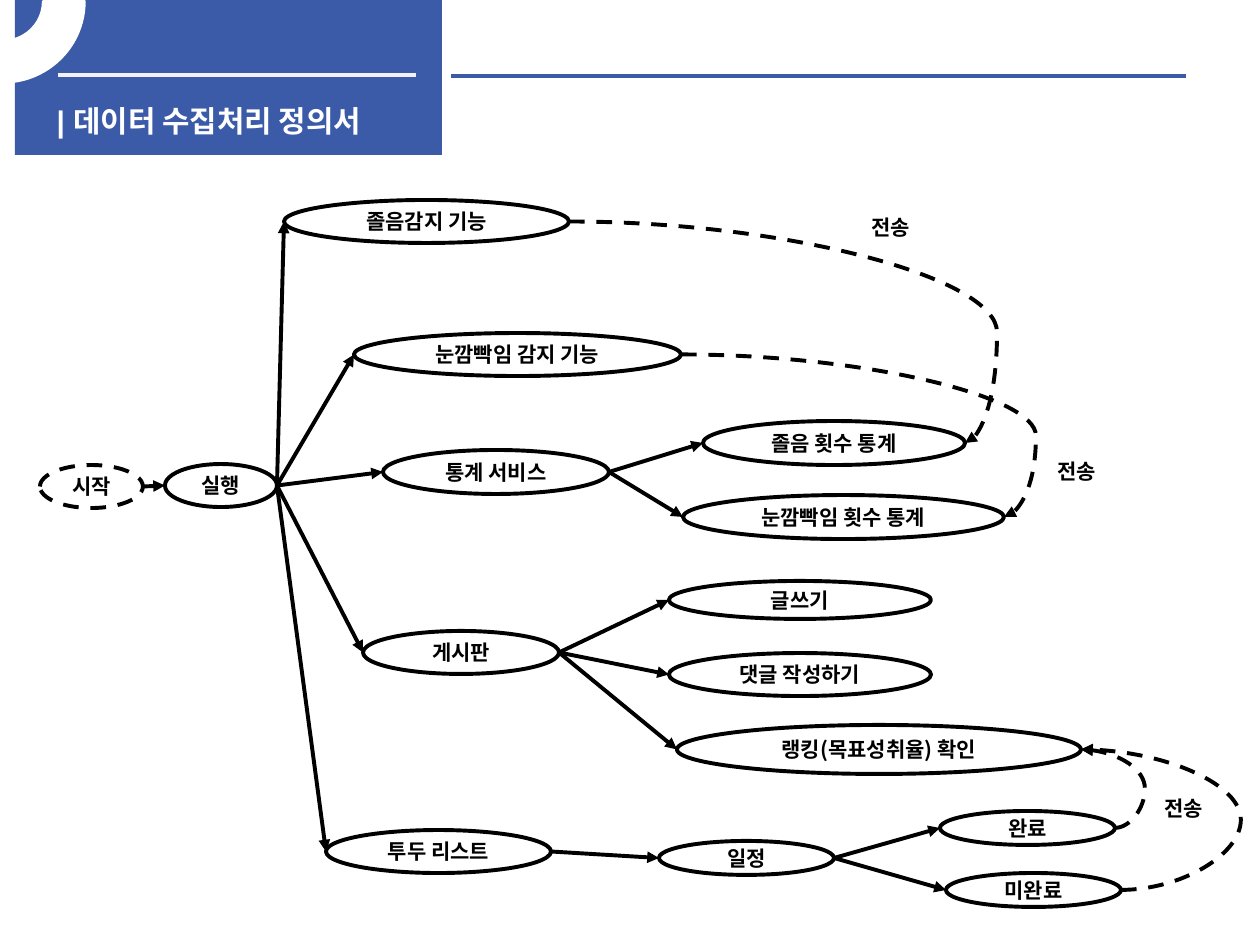
from dataclasses import dataclass

from lxml.etree import SubElement
from pptx import Presentation
from pptx.dml.color import RGBColor
from pptx.enum.dml import MSO_LINE
from pptx.enum.shapes import MSO_CONNECTOR, MSO_SHAPE
from pptx.enum.text import MSO_ANCHOR, MSO_AUTO_SIZE, PP_ALIGN
from pptx.oxml.ns import qn
from pptx.util import Inches, Pt

SCALE = Inches(1) / 126


@dataclass(frozen=True)
class Theme:
    blue: str = "3B5AA8"
    white: str = "FFFFFF"
    pale: str = "F2F2F2"
    ink: str = "000000"
    title_font: str = "Arial"
    body_font: str = "Noto Sans CJK KR"
    title_size: float = 17
    body_size: float = 12
    line_width: float = 2.25
    ring_line_width: float = 2


def px(*lengths):
    """Turn pixel lengths into a list of EMU."""
    return [round(length * SCALE) for length in lengths]


def write_text(frame, text, *, font, asian_font, size, color, align=PP_ALIGN.LEFT,
               anchor=MSO_ANCHOR.TOP, wrap=True):
    frame.word_wrap = wrap
    frame.auto_size = MSO_AUTO_SIZE.NONE
    frame.vertical_anchor = anchor
    paragraph = frame.paragraphs[0]
    paragraph.alignment = align
    run = paragraph.add_run()
    run.text = text
    run.font.name = font
    run.font.size = Pt(size)
    run.font.bold = True
    run.font.color.rgb = RGBColor.from_string(color)
    SubElement(run.font._element, qn("a:ea"), typeface=asian_font)


class FlowSlide:
    def __init__(self, presentation, theme):
        self.theme = theme
        self.slide = presentation.slides.add_slide(presentation.slide_layouts[5])
        self.shapes = self.slide.shapes

    def style_line(self, line, color, width=None, dashed=False):
        line.color.rgb = RGBColor.from_string(color)
        line.width = Pt(width or self.theme.line_width)
        if dashed:
            line.dash_style = MSO_LINE.DASH

    def write_label_text(self, frame, text, **layout):
        theme = self.theme
        write_text(frame, text, font=theme.body_font, asian_font=theme.body_font,
                   size=theme.body_size, color=theme.ink, **layout)

    def preset(self, kind, box, fill):
        shape = self.shapes.add_shape(kind, *px(*box))
        shape.shadow.inherit = False
        shape.fill.solid()
        shape.fill.fore_color.rgb = RGBColor.from_string(fill)
        return shape

    def banner(self, box):
        self.preset(MSO_SHAPE.RECTANGLE, box, self.theme.blue).line.fill.background()

    def ring(self, box):
        shape = self.preset(MSO_SHAPE.BLOCK_ARC, box, self.theme.white)
        # Angles count in 60000ths of a degree, adjustments in 100000ths.
        shape.adjustments[0] = 161.59 * 0.6
        shape.adjustments[1] = 0
        shape.adjustments[2] = 0.25
        shape._element.spPr.xfrm.set("flipV", "1")
        self.style_line(shape.line, self.theme.white, self.theme.ring_line_width)

    def title(self, text, box):
        title = self.shapes.title
        title.left, title.top, title.width, title.height = px(*box)
        theme = self.theme
        write_text(title.text_frame, text, font=theme.title_font, asian_font=theme.body_font,
                   size=theme.title_size, color=theme.white)
        # The placeholder comes first in the tree; bring it in front of the banner.
        self.shapes._spTree.append(title._element)

    def node(self, text, box, dashed=False):
        shape = self.preset(MSO_SHAPE.OVAL, box, self.theme.white)
        self.style_line(shape.line, self.theme.ink, dashed=dashed)
        self.write_label_text(shape.text_frame, text, align=PP_ALIGN.CENTER,
                              anchor=MSO_ANCHOR.MIDDLE)
        return shape

    def label(self, text, box):
        self.write_label_text(self.shapes.add_textbox(*px(*box)).text_frame, text, wrap=False)

    def connector(self, kind, begin, end, color, dashed=False, arrow=False):
        connector = self.shapes.add_connector(kind, *begin, *end)
        self.style_line(connector.line, color, dashed=dashed)
        if arrow:
            SubElement(connector.line._get_or_add_ln(), qn("a:tailEnd"), type="triangle")
        SubElement(connector._element.spPr, qn("a:effectLst"))
        return connector

    def rule(self, left, right, y, color):
        self.connector(MSO_CONNECTOR.STRAIGHT, px(left, y), px(right, y), color)

    def link(self, source, target):
        """Arrow from the right end of one node to the left end of another."""
        self.connector(MSO_CONNECTOR.STRAIGHT, right_end(source), left_end(target),
                       self.theme.ink, arrow=True)

    def feedback(self, source, target, bulge):
        """Dashed curve between two right ends, swinging out to x = bulge."""
        begin, end = right_end(source), right_end(target)
        connector = self.connector(MSO_CONNECTOR.CURVE, begin, end, self.theme.ink,
                                   dashed=True, arrow=True)
        ratio = (px(bulge)[0] - begin[0]) / (end[0] - begin[0])
        guides = connector._element.spPr.find(qn("a:prstGeom")).find(qn("a:avLst"))
        SubElement(guides, qn("a:gd"), name="adj1", fmla=f"val {round(ratio * 100000)}")


def left_end(shape):
    return shape.left, shape.top + shape.height // 2


def right_end(shape):
    return shape.left + shape.width, shape.top + shape.height // 2


NODES = {
    "start": ("시작", (40, 465, 103, 43)),
    "run": ("실행", (165, 464, 112, 43)),
    "drowsiness": ("졸음감지 기능", (284, 200, 285, 43)),
    "blink": ("눈깜빡임 감지 기능", (354, 333, 327, 43)),
    "statistics": ("통계 서비스", (383, 450, 226, 44)),
    "board": ("게시판", (363, 631, 196, 43)),
    "todo": ("투두 리스트", (326, 830, 225, 43)),
    "drowsiness_count": ("졸음 횟수 통계", (703, 421, 262, 44)),
    "blink_count": ("눈깜빡임 횟수 통계", (683, 495, 321, 44)),
    "post": ("글쓰기", (669, 581, 262, 38)),
    "comment": ("댓글 작성하기", (669, 653, 262, 43)),
    "ranking": ("랭킹(목표성취율) 확인", (677, 725, 404, 49)),
    "schedule": ("일정", (659, 841, 175, 34)),
    "done": ("완료", (940, 811, 175, 34)),
    "not_done": ("미완료", (946, 873, 175, 34)),
}
LINKS = {
    "start": ["run"],
    "run": ["drowsiness", "blink", "statistics", "board", "todo"],
    "statistics": ["drowsiness_count", "blink_count"],
    "board": ["post", "comment", "ranking"],
    "todo": ["schedule"],
    "schedule": ["done", "not_done"],
}
FEEDBACKS = [
    ("drowsiness", "drowsiness_count", 997),
    ("blink", "blink_count", 1036),
    ("done", "ranking", 1145),
    ("not_done", "ranking", 1241),
]
SEND_LABELS = [(859, 208), (1045, 452), (1152, 789)]


def main():
    presentation = Presentation()
    presentation.slide_width, presentation.slide_height = px(1260, 945)
    theme = Theme()
    flow = FlowSlide(presentation, theme)

    flow.banner((15, 0, 427, 155))
    flow.rule(58, 416, 75, theme.pale)
    flow.rule(451, 1186, 76, theme.blue)
    flow.title("| 데이터 수집처리 정의서", (44, 96, 387, 40))
    flow.ring((-79, -79, 163, 161))

    nodes = {name: flow.node(text, box, dashed=name == "start")
             for name, (text, box) in NODES.items()}
    for source, targets in LINKS.items():
        for target in targets:
            flow.link(nodes[source], nodes[target])
    for source, target, bulge in FEEDBACKS:
        flow.feedback(nodes[source], nodes[target], bulge)
    for left, top in SEND_LABELS:
        flow.label("전송", (left, top, 76, 38))

    presentation.save("out.pptx")


if __name__ == "__main__":
    main()
